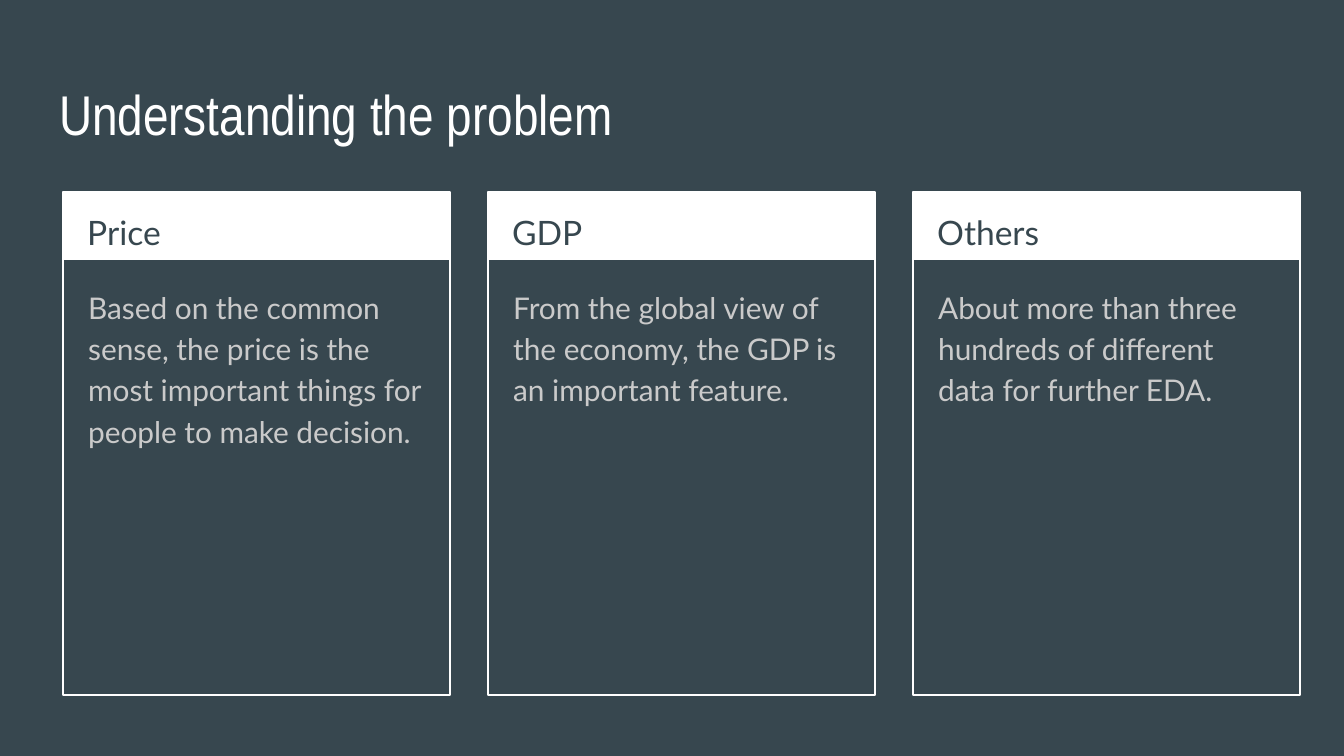
from pptx import Presentation
from pptx.dml.color import RGBColor
from pptx.enum.shapes import MSO_SHAPE
from pptx.enum.text import MSO_ANCHOR
from pptx.util import Inches, Pt

RECT = MSO_SHAPE.RECTANGLE
TOP = MSO_ANCHOR.TOP
SCALE = Inches(10) / 1344

SLATE, WHITE, GRAY = "37474F", "FFFFFF", "CACACA"

CARDS = [
    ("Price", "Based on the common sense, the price is the most important "
              "things for people to make decision."),
    ("GDP", "From the global view of the economy, the GDP is an important feature."),
    ("Others", "About more than three hundreds of different data for further EDA."),
]
LEFT, HEAD, PITCH = 63, 192, 425
WIDTH, HEIGHT, BAND = 387, 503, 68


def px(*sizes):
    """Turn px lengths into EMU."""
    return [round(size * SCALE) for size in sizes]


def color(code):
    return RGBColor.from_string(code)


class Deck:
    """Holds the style and the current slide."""

    title_font, body_font = "Arial Narrow", "Lato"

    def __init__(self, prs):
        self.slide = prs.slides.add_slide(prs.slide_layouts[6])
        fill = self.slide.background.fill
        fill.solid()
        fill.fore_color.rgb = color(SLATE)

    def text(self, box, words, size, tint, font=body_font, spacing=1.15):
        frame = self.slide.shapes.add_textbox(*px(*box)).text_frame
        frame.word_wrap = True
        frame.vertical_anchor = TOP
        frame.margin_left = frame.margin_right = Inches(0.1)
        frame.margin_top = frame.margin_bottom = Inches(0.1)
        para = frame.paragraphs[0]
        para.text = words
        para.line_spacing = spacing
        para.font.name = font
        para.font.size = Pt(size)
        para.font.color.rgb = color(tint)

    def rect(self, group, box, fill=None, line=None):
        shape = group.shapes.add_shape(RECT, *px(*box))
        shape.shadow.inherit = False
        if fill:
            shape.fill.solid()
            shape.fill.fore_color.rgb = color(fill)
        else:
            shape.fill.background()
        if line:
            shape.line.color.rgb = color(line)
            shape.line.width = Pt(0.75)
        else:
            shape.line.fill.background()

    def card(self, left, label, words):
        group = self.slide.shapes.add_group_shape()
        self.rect(group, (left, HEAD, WIDTH, BAND), fill=WHITE)
        self.rect(group, (left, HEAD, WIDTH, HEIGHT), line=WHITE)
        self.text((left + 11, HEAD, 367, 67), label, 18, SLATE)
        self.text((left + 12, HEAD + 79, 364, 411), words, 16, GRAY)


def main():
    prs = Presentation()
    prs.slide_width, prs.slide_height = px(1344, 756)
    deck = Deck(prs)
    deck.text((46, 66, 1253, 85), "Understanding the problem", 30, WHITE,
              font=deck.title_font, spacing=1.0)
    for i, (label, words) in enumerate(CARDS):
        deck.card(LEFT + i * PITCH, label, words)
    prs.save("out.pptx")


if __name__ == "__main__":
    main()
